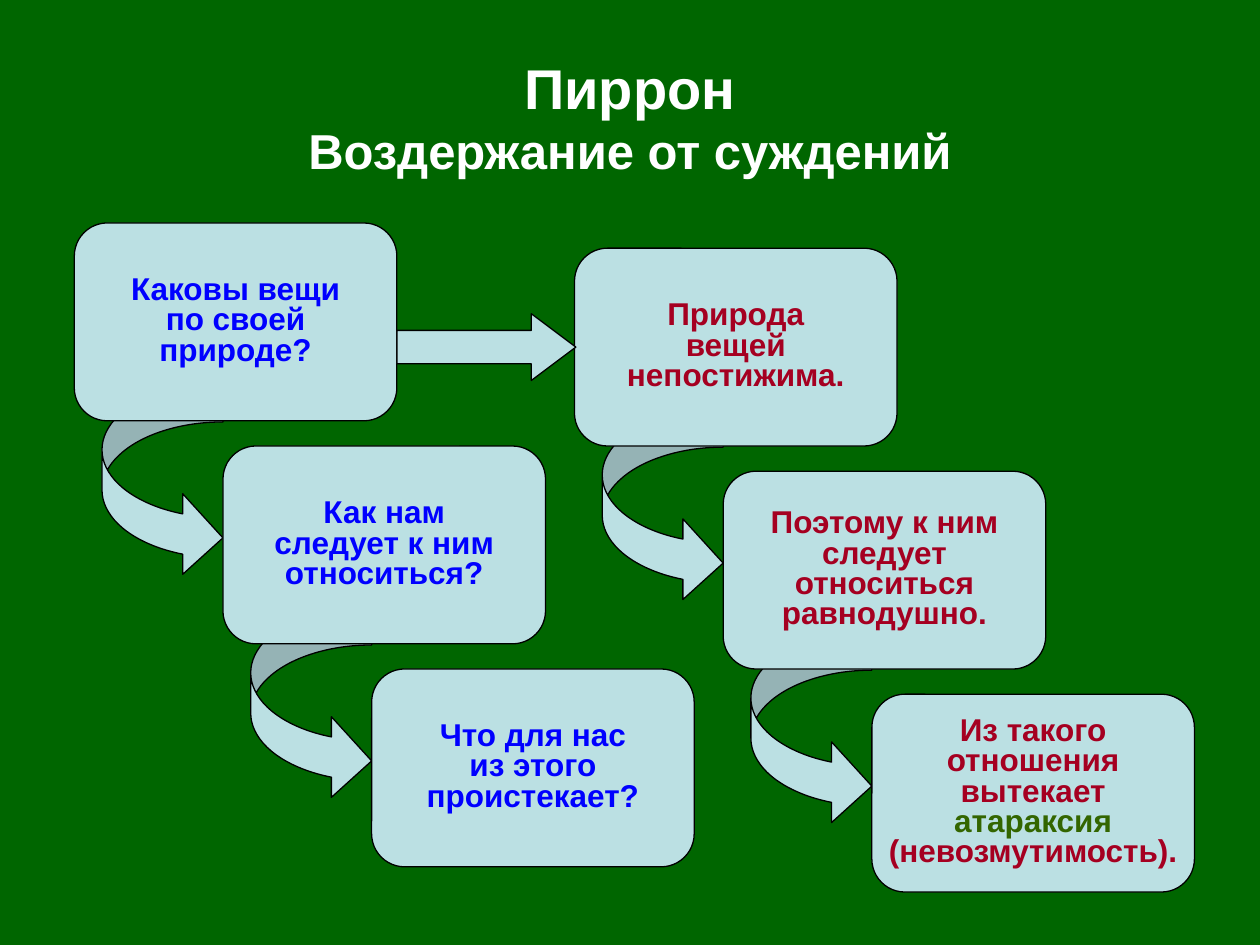
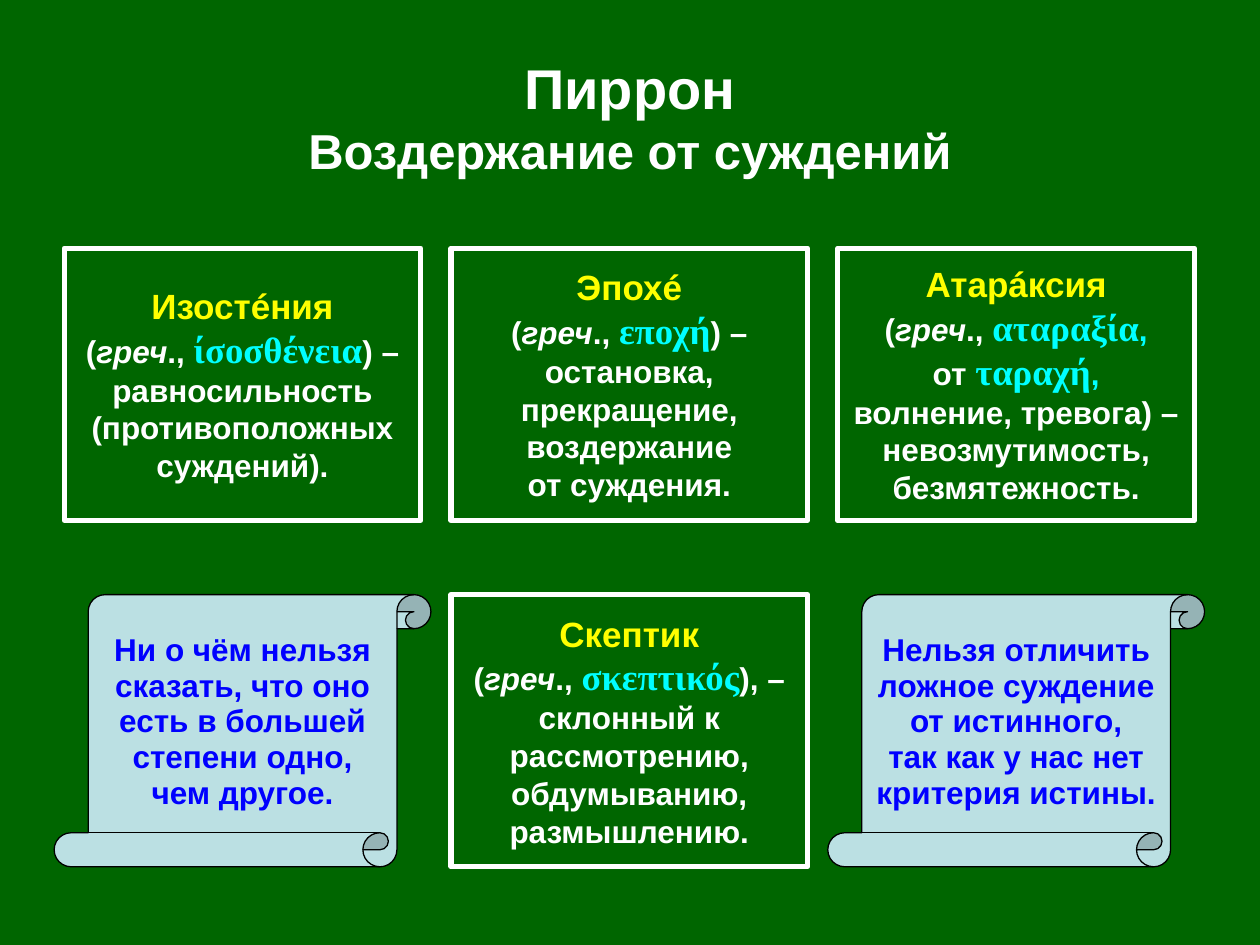
"""Build two slides on Pyrrho: the chain of questions and answers, and the key terms."""
from pptx import Presentation, util as u
from pptx.dml.color import RGBColor
from pptx.enum import shapes, text

COLOURS = {"ground": "006600", "panel": "BBE0E3", "ink": "000000", "white": "FFFFFF",
           "question": "0000FF", "answer": "A50021", "ataraxia": "336600",
           "term": "FFFF00", "greek": "00FFFF"}
STYLES = {
    "name": (32, "Arial", "white", False),
    "theme": (28, "Arial", "white", False),
    "question": (18, "Arial", "question", False),
    "answer": (18, "Arial", "answer", False),
    "ataraxia": (18, "Arial", "ataraxia", False),
    "term": (20, "Arial", "term", False),
    "plain": (18, "Arial", "white", False),
    "italic": (18, "Arial", "white", True),
    "greek": (21, "Times New Roman", "greek", False),
    "comma": (18, "Arial", "greek", False),
}


def write(frame, paragraphs, spacing=None, wrap=False):
    frame.word_wrap = wrap
    frame.vertical_anchor = text.MSO_ANCHOR.MIDDLE
    for number, runs in enumerate(paragraphs):
        paragraph = frame.add_paragraph() if number else frame.paragraphs[0]
        paragraph.alignment = text.PP_ALIGN.CENTER
        if spacing:
            paragraph.line_spacing = spacing
        for style, words in runs:
            size, face, colour, italic = STYLES[style]
            for row, line in enumerate(words.split("\n")):
                if row:
                    paragraph.add_line_break()
                if line:
                    run = paragraph.add_run()
                    run.text = line
                    run.font.size, run.font.name = u.Pt(size), face
                    run.font.bold, run.font.italic = True, italic
                    run.font.color.rgb = RGBColor.from_string(COLOURS[colour])


def draw(slide, kind, place, adjustments=(), fill="panel", line="ink", weight=0.75):
    figure = slide.shapes.add_shape(kind, *map(u.Inches, place))
    figure.shadow.inherit = False
    for number, value in enumerate(adjustments):
        figure.adjustments[number] = value
    if fill:
        figure.fill.solid()
        figure.fill.fore_color.rgb = RGBColor.from_string(COLOURS[fill])
    else:
        figure.fill.background()
    figure.line.color.rgb = RGBColor.from_string(COLOURS[line])
    figure.line.width = u.Pt(weight)
    return figure


deck = Presentation()
deck.slide_width, deck.slide_height = u.Inches(10), u.Inches(7.5)
reasoning, terms = [deck.slides.add_slide(deck.slide_layouts[6]) for _ in range(2)]
for slide in (reasoning, terms):
    slide.background.fill.solid()
    slide.background.fill.fore_color.rgb = RGBColor.from_string(COLOURS["ground"])
    heading = slide.shapes.add_textbox(*map(u.Inches, (0.5, 0.3, 9, 1.25)))
    write(heading.text_frame, [[("name", "Пиррон\n"), ("theme", "Воздержание от суждений")]], wrap=True)

STEP_X, STEP_Y = 1.18, 1.77
BOX_W, BOX_H = 2.56, 1.57
chains = [
    (0.59, 1.77, [
        [("question", "Каковы вещи\nпо своей\nприроде?")],
        [("question", "Как нам\nследует к ним\nотноситься?")],
        [("question", "Что для нас\nиз этого\nпроистекает?")]]),
    (4.56, 1.97, [
        [("answer", "Природа\nвещей\nнепостижима.")],
        [("answer", "Поэтому к ним\nследует\nотноситься\nравнодушно.")],
        [("answer", "Из такого\nотношения\nвытекает\n"), ("ataraxia", "атараксия\n"),
         ("answer", "(невозмутимость).")]]),
]
for left, top, thoughts in chains:
    for step in range(len(thoughts) - 1):
        draw(reasoning, shapes.MSO_SHAPE.CURVED_RIGHT_ARROW,
             (left + 0.22 + step * STEP_X, top + 1.26 + step * STEP_Y, 0.96, 1.56),
             (0.333, 0.667, 0.333))
for left, top, thoughts in chains:
    for step, thought in enumerate(thoughts):
        box = draw(reasoning, shapes.MSO_SHAPE.ROUNDED_RECTANGLE,
                   (left + step * STEP_X, top + step * STEP_Y, BOX_W, BOX_H), (0.167,))
        write(box.text_frame, [thought], spacing=0.8)
draw(reasoning, shapes.MSO_SHAPE.RIGHT_ARROW, (3.15, 2.49, 1.42, 0.53), (0.5, 0.667))

COLUMNS = [0.51 + 3.07 * column for column in range(3)]
UPPER, LOWER = 1.97, 4.72
CARD_W, CARD_H = 2.83, 2.16
origin = [("plain", "("), ("italic", "греч"), ("plain", "., ")]
definitions = [
    (0, UPPER, "Изостéния\n", [
        [("greek", "ίσοσθένεια"),
         ("plain", ") –\nравносильность\n(противоположных\nсуждений).")]]),
    (1, UPPER, "Эпохé\n", [
        [("greek", "εποχή"), ("plain", ") –")],
        [("plain", "остановка,\nпрекращение,\nвоздержание\nот суждения.")]]),
    (2, UPPER, "Атарáксия\n", [
        [("greek", "αταραξία"), ("comma", ",\n"), ("plain", "от "),
         ("greek", "ταραχή"), ("comma", ",\n"),
         ("plain", "волнение, тревога) –\nневозмутимость,\nбезмятежность.")]]),
    (1, LOWER, "Скептик\n", [
        [("greek", "σκεπτικός"), ("plain", "), –")],
        [("plain", "склонный к\nрассмотрению,\nобдумыванию,\nразмышлению.")]]),
]
for column, top, term, (first, *rest) in definitions:
    card = draw(terms, shapes.MSO_SHAPE.RECTANGLE, (COLUMNS[column], top, CARD_W, CARD_H),
                fill=None, line="white", weight=3)
    write(card.text_frame, [[("term", term)] + origin + first] + rest)

theses = [
    (0, "Ни о чём нельзя\nсказать, что оно\nесть в большей\nстепени одно,\nчем другое."),
    (2, "Нельзя отличить\nложное суждение\nот истинного,\nтак как у нас нет\nкритерия истины."),
]
for column, thesis in theses:
    scroll = draw(terms, shapes.MSO_SHAPE.VERTICAL_SCROLL,
                  (COLUMNS[column] - 0.08, LOWER, CARD_W + 0.16, CARD_H), (0.125,))
    frame = scroll.element.spPr.xfrm
    frame.set("flipH", "1")
    frame.set("flipV", "1")
    scroll.element.txBody.bodyPr.set("rot", "10800000")
    write(scroll.text_frame, [[("question", thesis)]], spacing=0.95)

deck.save("out.pptx")
